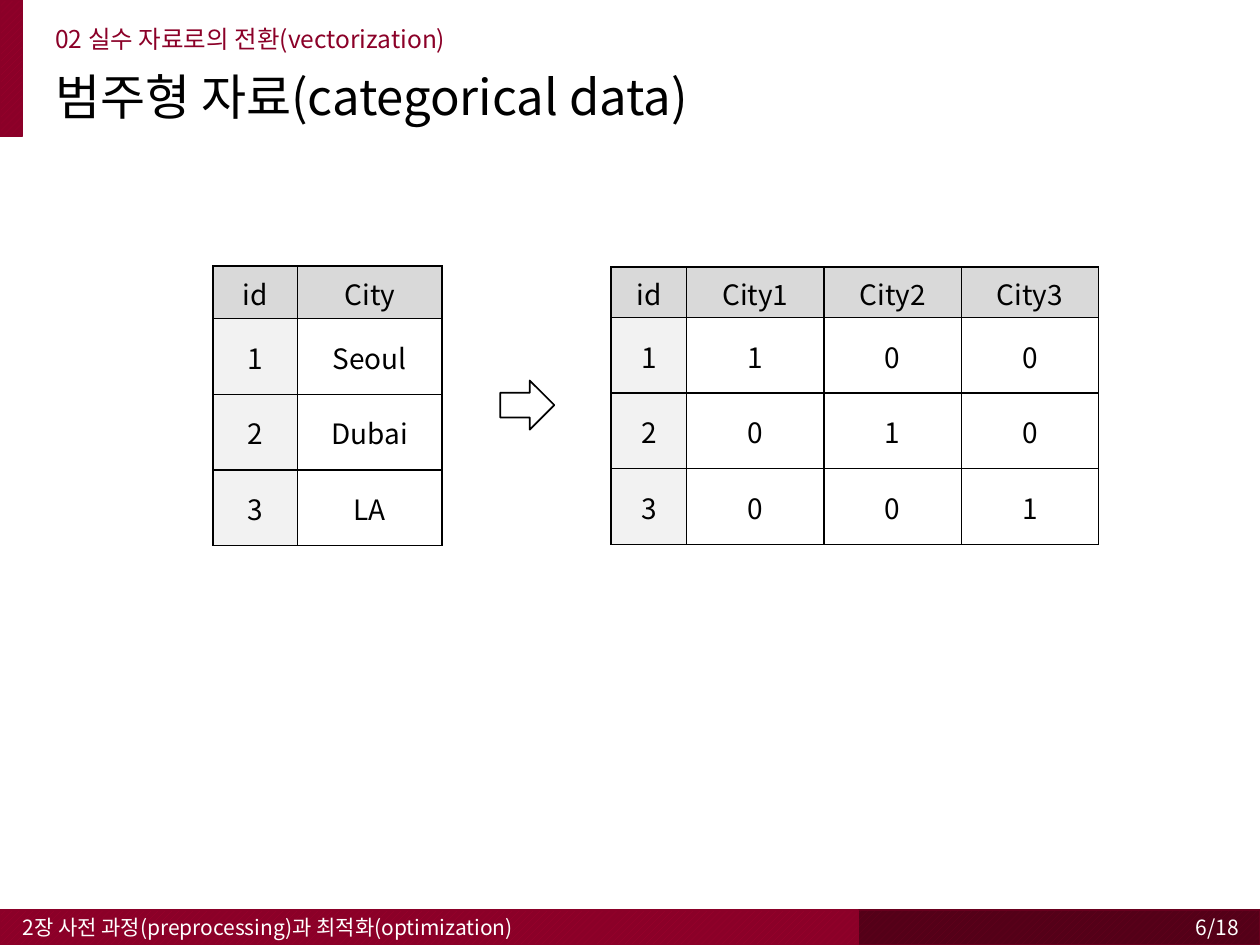
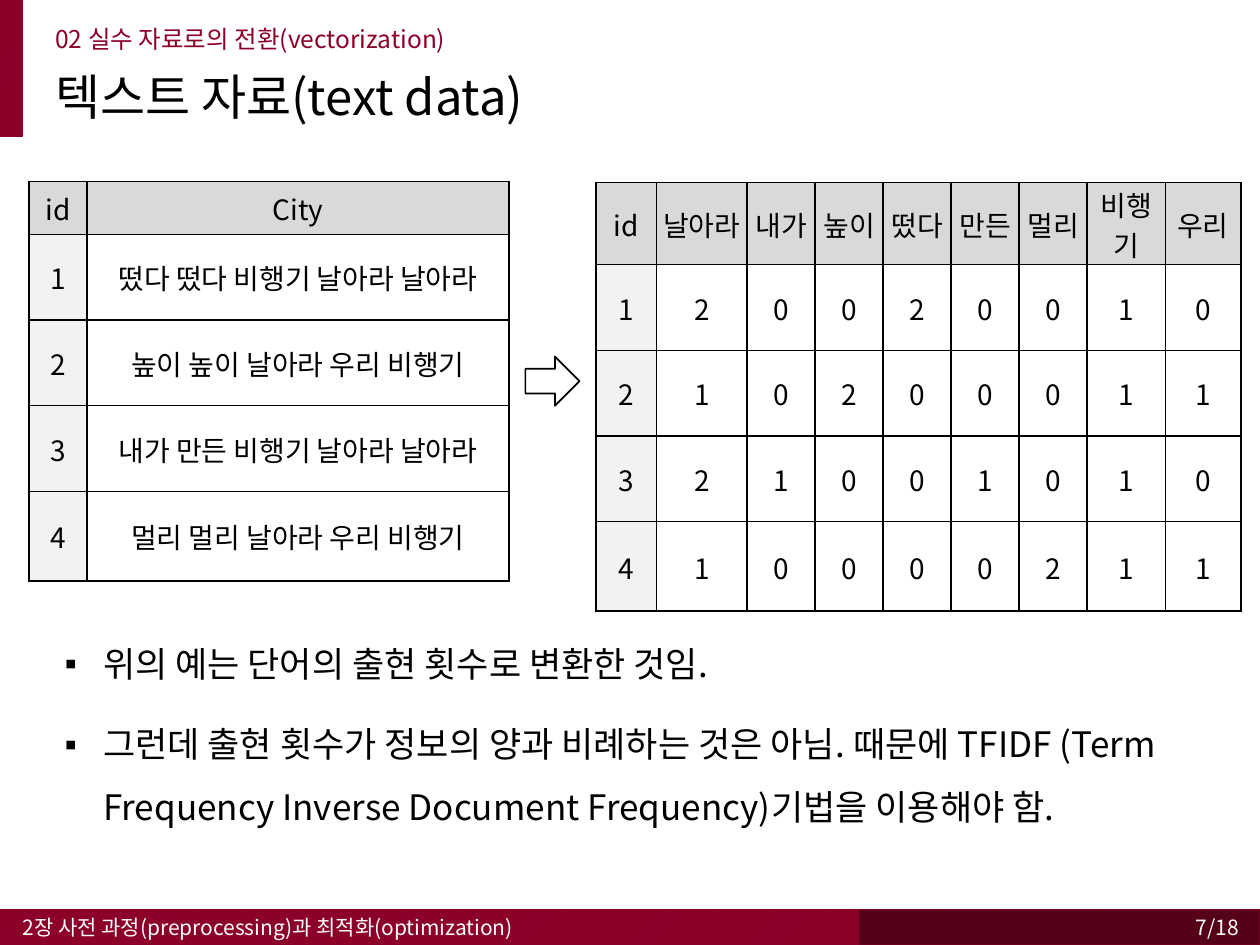
import pptx
import pptx.util
import pptx.dml.color
import pptx.enum.dml
import pptx.enum.shapes
import pptx.enum.text
import pptx.oxml
import pptx.oxml.ns
from dataclasses import dataclass
from pptx.util import Inches

ALIGN = pptx.enum.text.PP_ALIGN
ANCHOR = pptx.enum.text.MSO_ANCHOR
SHAPE = pptx.enum.shapes.MSO_SHAPE


@dataclass(frozen=True)
class Theme:
    font: str = "Noto Sans CJK KR"
    ink: str = "000000"
    paper: str = "FFFFFF"
    crimson: str = "8B0028"
    crimson_stripe: str = "9E002D"
    wine: str = "540018"
    wine_stripe: str = "68001E"
    header_fill: str = "D9D9D9"
    id_fill: str = "F2F2F2"
    title_size: int = 28
    section_size: int = 14
    body_size: int = 20
    table_size: int = 16
    footer_size: int = 12
    line_width: int = 1


THEME = Theme()
SECTION = "02 실수 자료로의 전환(vectorization)"
CHAPTER = "2장 사전 과정(preprocessing)과 최적화(optimization)"
PAGE_COUNT = 18

BANDS = [
    ((6.68, 7.22, 3.32, 0.28), THEME.wine_stripe, THEME.wine, THEME.wine_stripe),
    ((0, 7.22, 6.81, 0.28), THEME.crimson_stripe, THEME.crimson, THEME.crimson),
    ((0, 0, 0.18, 1.08), THEME.crimson_stripe, THEME.crimson, THEME.crimson),
]

CITY_ROWS = [0.42] + [0.6] * 3
ONE_HOT_ROWS = [0.4] + [0.6] * 3
SENTENCE_ROWS = [0.68] * 3 + [0.71]

SLIDES = [
    {
        "page": 6,
        "title": "범주형 자료(categorical data)",
        "arrow": (3.97, 3.02),
        "bullets": [],
        "tables": [
            {
                "at": (1.69, 2.11),
                "columns": [0.67, 1.15],
                "rows": CITY_ROWS,
                "cells": [["id", "City"], [1, "Seoul"], [2, "Dubai"], [3, "LA"]],
            },
            {
                "at": (4.85, 2.12),
                "columns": [0.6] + [1.09] * 3,
                "rows": ONE_HOT_ROWS,
                "cells": [
                    ["id", "City1", "City2", "City3"],
                    [1, 1, 0, 0],
                    [2, 0, 1, 0],
                    [3, 0, 0, 1],
                ],
            },
        ],
    },
    {
        "page": 7,
        "title": "텍스트 자료(text data)",
        "arrow": (4.17, 2.83),
        "bullets": [
            "위의 예는 단어의 출현 횟수로 변환한 것임.",
            "그런데 출현 횟수가 정보의 양과 비례하는 것은 아님. 때문에 TFIDF "
            "(Term Frequency Inverse Document Frequency)기법을 이용해야 함.",
        ],
        "tables": [
            {
                "at": (0.23, 1.44),
                "columns": [0.46, 3.35],
                "rows": [0.42] + SENTENCE_ROWS,
                "cells": [
                    ["id", "City"],
                    [1, "떴다 떴다 비행기 날아라 날아라"],
                    [2, "높이 높이 날아라 우리 비행기"],
                    [3, "내가 만든 비행기 날아라 날아라"],
                    [4, "멀리 멀리 날아라 우리 비행기"],
                ],
            },
            {
                "at": (4.73, 1.45),
                "columns": [0.48, 0.72] + [0.54] * 5 + [0.62, 0.6],
                "rows": [0.65] + SENTENCE_ROWS,
                "cells": [
                    ["id", "날아라", "내가", "높이", "떴다", "만든", "멀리", "비행기", "우리"],
                    [1, 2, 0, 0, 2, 0, 0, 1, 0],
                    [2, 1, 0, 2, 0, 0, 0, 1, 1],
                    [3, 2, 1, 0, 0, 1, 0, 1, 0],
                    [4, 1, 0, 0, 0, 0, 2, 1, 1],
                ],
            },
        ],
    },
]


def rgb(value):
    return pptx.dml.color.RGBColor.from_string(value)


def add_run(paragraph, text, size, color):
    run = paragraph.add_run()
    run.text = text
    run.font.size = pptx.util.Pt(size)
    run.font.name = THEME.font
    run.font.color.rgb = rgb(color)
    properties = run.font._element
    east_asian = properties.makeelement(pptx.oxml.ns.qn("a:ea"), {"typeface": THEME.font})
    properties.find(pptx.oxml.ns.qn("a:latin")).addnext(east_asian)


def add_text_box(slide, box, anchor):
    frame = slide.shapes.add_textbox(*map(Inches, box)).text_frame
    frame.word_wrap = True
    frame.vertical_anchor = anchor
    return frame


def add_label(slide, box, text, size, color, align=ALIGN.LEFT, line_spacing=1.0):
    paragraph = add_text_box(slide, box, ANCHOR.MIDDLE).paragraphs[0]
    paragraph.alignment = align
    paragraph.line_spacing = line_spacing
    add_run(paragraph, text, size, color)


def add_outlined_shape(slide, kind, box, line_color):
    shape = slide.shapes.add_shape(kind, *map(Inches, box))
    shape.shadow.inherit = False
    shape.line.color.rgb = rgb(line_color)
    shape.line.width = pptx.util.Pt(THEME.line_width)
    return shape


def add_frame(slide, title, page):
    for box, stripe, ground, line_color in BANDS:
        fill = add_outlined_shape(slide, SHAPE.RECTANGLE, box, line_color).fill
        fill.patterned()
        fill.pattern = pptx.enum.dml.MSO_PATTERN.WIDE_UPWARD_DIAGONAL
        fill.fore_color.rgb = rgb(stripe)
        fill.back_color.rgb = rgb(ground)
    add_label(slide, (0.34, 0.51, 9.23, 0.56), title, THEME.title_size, THEME.ink, line_spacing=0.9)
    add_label(slide, (0.34, 0.19, 9.23, 0.26), SECTION, THEME.section_size, THEME.crimson, line_spacing=0.9)
    add_label(slide, (0.08, 7.22, 5, 0.28), CHAPTER, THEME.footer_size, THEME.paper)
    add_label(slide, (7.68, 7.22, 2.25, 0.28), f"{page}/{PAGE_COUNT}",
              THEME.footer_size, THEME.paper, ALIGN.RIGHT)


def add_borders(cell):
    properties = cell._tc.get_or_add_tcPr()
    width = pptx.util.Pt(THEME.line_width)
    for position, side in enumerate(("lnL", "lnR", "lnT", "lnB")):
        border = pptx.oxml.parse_xml(
            f'<a:{side} {pptx.oxml.ns.nsdecls("a")} w="{width}"><a:solidFill>'
            f'<a:srgbClr val="{THEME.ink}"/></a:solidFill></a:{side}>'
        )
        properties.insert(position, border)


def add_data_table(slide, at, columns, rows, cells):
    box = (*at, sum(columns), sum(rows))
    table = slide.shapes.add_table(len(rows), len(columns), *map(Inches, box)).table
    table.first_row = False
    table.horz_banding = False
    for column, width in zip(table.columns, columns):
        column.width = Inches(width)
    for row, height in zip(table.rows, rows):
        row.height = Inches(height)
    for row_index, values in enumerate(cells):
        for column_index, value in enumerate(values):
            cell = table.cell(row_index, column_index)
            cell.margin_left = cell.margin_top = cell.margin_right = Inches(0.01)
            cell.margin_bottom = 0
            cell.vertical_anchor = ANCHOR.MIDDLE
            cell.fill.solid()
            if row_index == 0:
                color = THEME.header_fill
            elif column_index == 0:
                color = THEME.id_fill
            else:
                color = THEME.paper
            cell.fill.fore_color.rgb = rgb(color)
            add_borders(cell)
            paragraph = cell.text_frame.paragraphs[0]
            paragraph.alignment = ALIGN.CENTER
            add_run(paragraph, str(value), THEME.table_size, THEME.ink)


def add_bullets(slide, texts):
    frame = add_text_box(slide, (0.34, 4.88, 9.1, 2.05), ANCHOR.TOP)
    for index, text in enumerate(texts):
        paragraph = frame.add_paragraph() if index else frame.paragraphs[0]
        paragraph.line_spacing = 1.5
        paragraph.space_before = pptx.util.Pt(10)
        properties = paragraph._p.get_or_add_pPr()
        properties.set("marL", str(Inches(0.38)))
        properties.set("indent", str(-Inches(0.38)))
        for tag, name, value in (("buSzPct", "val", "90000"),
                                 ("buFont", "typeface", THEME.font),
                                 ("buChar", "char", "▪")):
            properties.append(properties.makeelement(pptx.oxml.ns.qn(f"a:{tag}"), {name: value}))
        add_run(paragraph, text, THEME.body_size, THEME.ink)


def add_arrow(slide, at):
    arrow = add_outlined_shape(slide, SHAPE.RIGHT_ARROW, (*at, 0.43, 0.39), THEME.ink)
    arrow.fill.solid()
    arrow.fill.fore_color.rgb = rgb(THEME.paper)


def main():
    presentation = pptx.Presentation()
    presentation.slide_width = Inches(10)
    presentation.slide_height = Inches(7.5)
    for content in SLIDES:
        slide = presentation.slides.add_slide(presentation.slide_layouts[6])
        add_frame(slide, content["title"], content["page"])
        if content["bullets"]:
            add_bullets(slide, content["bullets"])
        for table in content["tables"]:
            add_data_table(slide, **table)
        add_arrow(slide, content["arrow"])
    presentation.save("out.pptx")


if __name__ == "__main__":
    main()
